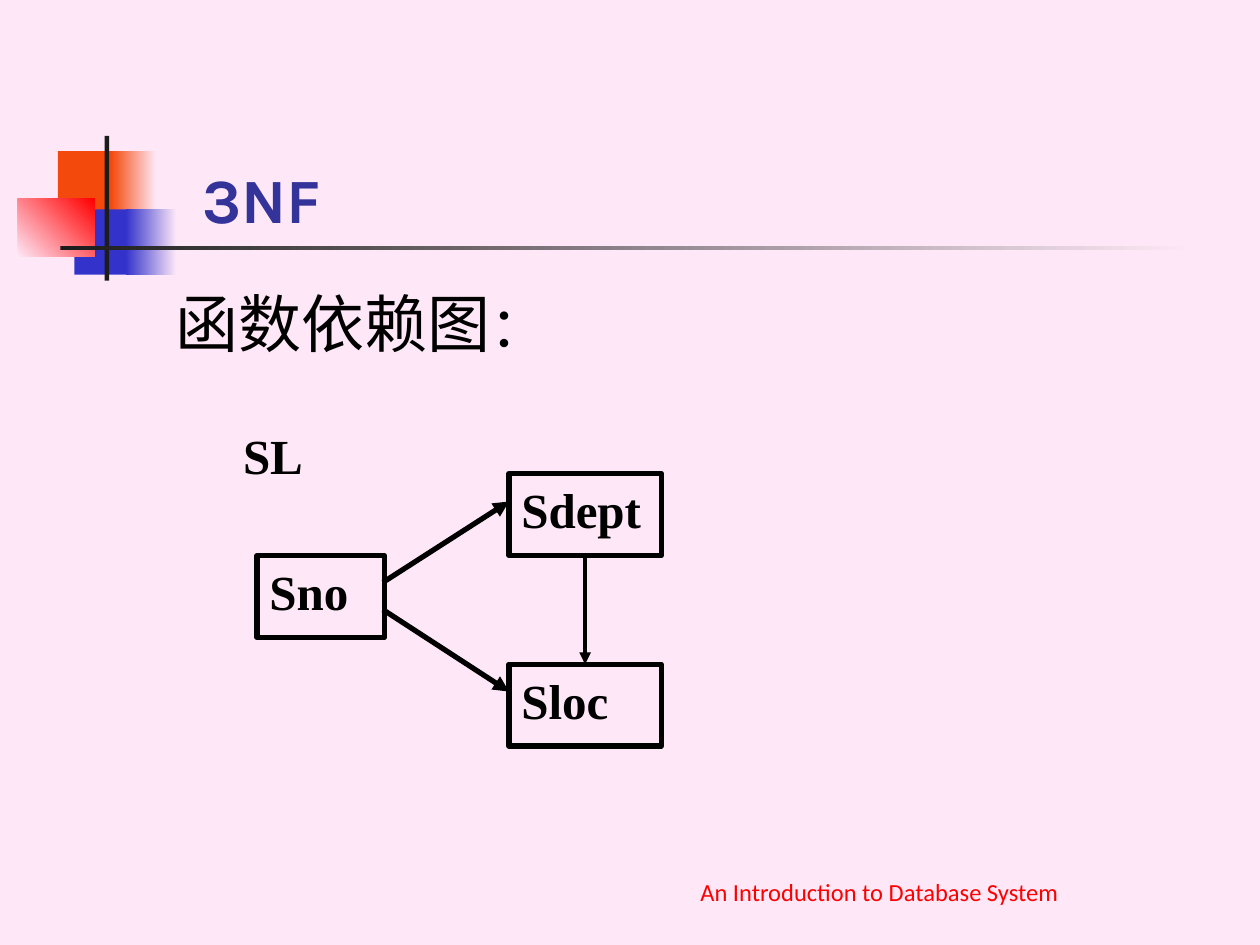
from lxml import etree
from pptx import Presentation
from pptx.dml.color import RGBColor
from pptx.enum import shapes, text
from pptx.oxml.ns import qn
from pptx.util import Cm, Pt

PINK = RGBColor(0xFE, 0xE8, 0xF7)
ORANGE = RGBColor(0xF4, 0x49, 0x0C)
BLUE = RGBColor(0x33, 0x33, 0xCC)
NAVY = RGBColor(0x33, 0x33, 0x99)
RED = RGBColor(0xFF, 0, 0)
DARK = RGBColor(0x1C, 0x1C, 0x1C)
BLACK = RGBColor(0, 0, 0)
ALIGN = text.PP_ALIGN
ANCHOR = text.MSO_ANCHOR


def add_rect(s, x, y, w, h):
    sp = s.shapes.add_shape(shapes.MSO_SHAPE.RECTANGLE, Cm(x), Cm(y), Cm(w), Cm(h))
    sp.shadow.inherit = False
    return sp


def write(sp, runs, font, color, bold=False, align=ALIGN.LEFT, anchor=ANCHOR.TOP):
    """Fill a shape with one paragraph of (words, size) runs."""
    tf = sp.text_frame
    tf.word_wrap = True
    tf.vertical_anchor = anchor
    p = tf.paragraphs[0]
    p.alignment = align
    for words, size in runs:
        r = p.add_run()
        r.text = words
        r.font.name, r.font.size, r.font.bold = font, Pt(size), bold
        r.font.color.rgb = color


def add_text(s, box, *args, **kwargs):
    sp = s.shapes.add_textbox(*(Cm(v) for v in box))
    write(sp, *args, **kwargs)
    return sp


def add_ornament(s, x, y):
    # left, top, width, height, start colour, end colour, angle
    parts = [
        (0.81, 0.31, 1.22, 1.32, ORANGE, None, 0),
        (1.88, 0.31, 0.91, 1.32, ORANGE, PINK, 0),
        (1.14, 1.48, 1.17, 1.32, BLUE, None, 0),
        (2.18, 1.48, 1.02, 1.32, BLUE, PINK, 0),
        (0, 1.27, 1.55, 1.17, PINK, RED, 45),
        (1.75, 0, 0.09, 2.92, DARK, None, 0),
        (0.86, 2.21, 22.86, 0.09, DARK, PINK, 0),
    ]
    for left, top, w, h, start, end, angle in parts:
        sp = add_rect(s, x + left, y + top, w, h)
        sp.line.fill.background()
        if end is None:
            sp.fill.solid()
            sp.fill.fore_color.rgb = start
        else:
            sp.fill.gradient()
            sp.fill.gradient_angle = angle
            for stop, color in zip(sp.fill.gradient_stops, (start, end)):
                stop.color.rgb = color


def add_arrow(s, x1, y1, x2, y2, width):
    cn = s.shapes.add_connector(
        shapes.MSO_CONNECTOR.STRAIGHT, Cm(x1), Cm(y1), Cm(x2), Cm(y2))
    cn.line.color.rgb = BLACK
    cn.line.width = Pt(width)
    etree.SubElement(cn.line._get_or_add_ln(), qn("a:tailEnd"), type="triangle")
    etree.SubElement(cn._element.spPr, qn("a:effectLst"))
    return cn


def add_diagram(s, x, y):
    label = dict(font="Times New Roman", color=BLACK, bold=True, align=ALIGN.JUSTIFY)
    height = 1.65
    add_text(s, (x, y, 3.07, height), [("SL", 28)], **label)

    # Attribute boxes
    nodes = {}
    for name, left, top, w in [("Sno", 0.53, 2.74, 2.57),
                               ("Sdept", 5.61, 1.09, 3.07),
                               ("Sloc", 5.61, 4.93, 3.07)]:
        sp = add_rect(s, x + left, y + top, w, height)
        sp.fill.background()
        sp.line.color.rgb = BLACK
        sp.line.width = Pt(3)
        write(sp, [(name, 28)], **label)
        nodes[name] = sp

    # Dependencies
    for start, end in [(3.28, 1.65), (3.83, 5.48)]:
        add_arrow(s, x + 3.07, y + start, x + 5.61, y + end, 3)
    cn = add_arrow(s, x + 7.15, y + 2.74, x + 7.15, y + 4.93, 2.25)
    cn.begin_connect(nodes["Sdept"], 2)
    cn.end_connect(nodes["Sloc"], 0)


def main():
    prs = Presentation()
    prs.slide_width, prs.slide_height = Cm(25.4), Cm(19.05)
    s = prs.slides.add_slide(prs.slide_layouts[6])
    s.background.fill.solid()
    s.background.fill.fore_color.rgb = PINK

    add_ornament(s, 0.36, 2.74)
    # Footer, title and heading
    add_text(s, (11.1, 17.12, 13.26, 1.27),
             [("An Introduction to Database System", 14)],
             "Calibri", RED, align=ALIGN.CENTER, anchor=ANCHOR.BOTTOM)
    title = add_text(s, (3.2, 1.7, 21.64, 3.18), [("3NF", 36)],
                     "Karla", NAVY, bold=True, anchor=ANCHOR.BOTTOM)
    title.text_frame.margin_left = Cm(0.88)
    add_text(s, (3.28, 5.61, 21.59, 11.43), [("函数依赖图", 36), ("：", 32)],
             "Karla", BLACK)
    add_diagram(s, 4.65, 8.46)
    prs.save("out.pptx")


if __name__ == "__main__":
    main()
